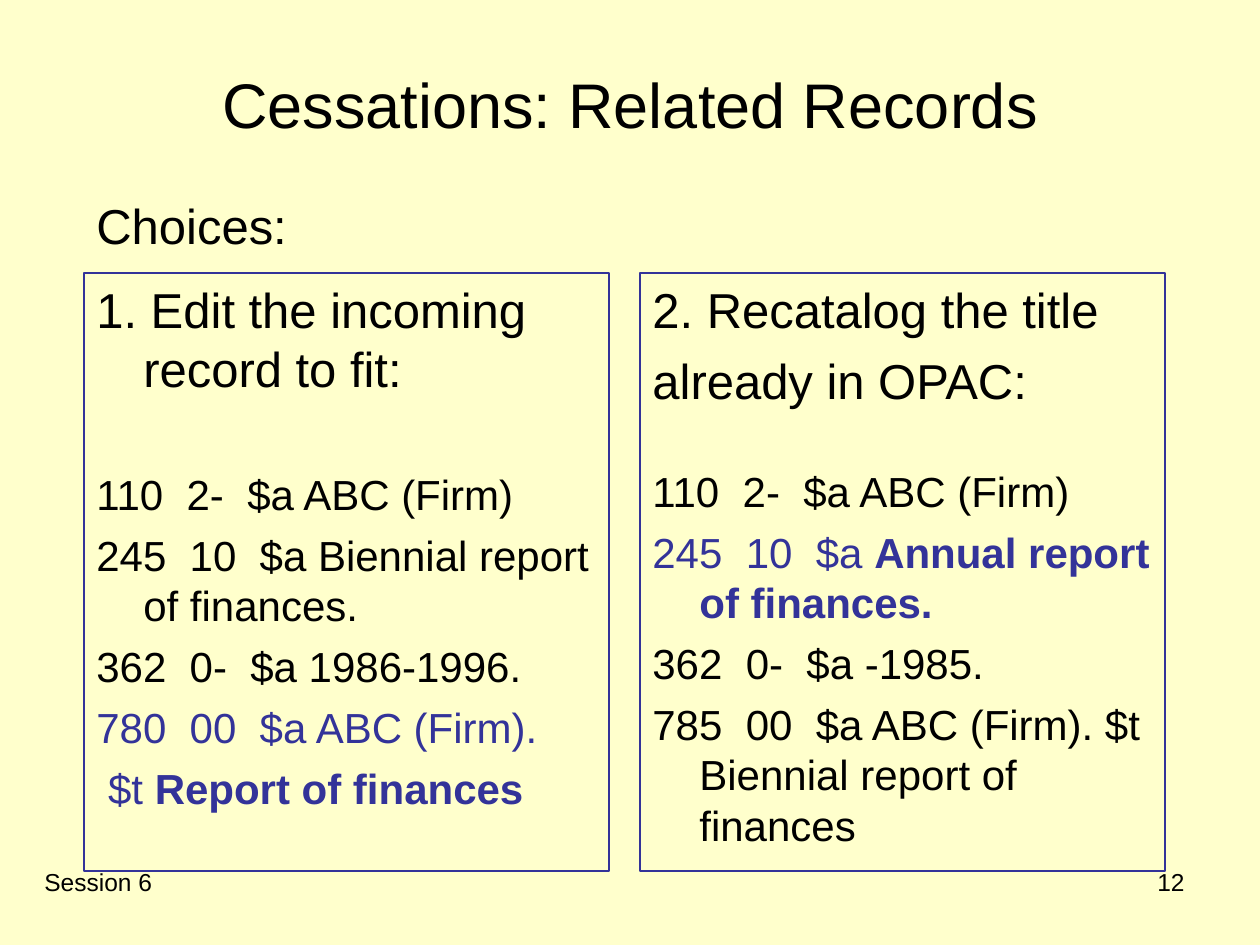
from dataclasses import dataclass

from pptx import Presentation
from pptx.dml.color import RGBColor
from pptx.enum.text import MSO_ANCHOR, PP_ALIGN
from pptx.util import Emu, Pt

EMU_PER_PX = 914400 / 126
CREAM = RGBColor(0xFF, 0xFF, 0xCC)
BLACK = RGBColor(0x00, 0x00, 0x00)
BLUE = RGBColor(0x33, 0x33, 0x99)
LEFT, CENTER, RIGHT = PP_ALIGN.LEFT, PP_ALIGN.CENTER, PP_ALIGN.RIGHT
TOP, MIDDLE = MSO_ANCHOR.TOP, MSO_ANCHOR.MIDDLE
FONT = "Arial"
HEADING_SIZE, FIELD_SIZE = 28, 24
HANGING_INDENT = 47
PANEL_TOP, PANEL_WIDTH, PANEL_HEIGHT = 273, 525, 598


@dataclass(frozen=True)
class Label:
    text: str
    left: int
    top: int
    width: int
    height: int
    size: int
    align: PP_ALIGN = LEFT
    anchor: MSO_ANCHOR = TOP


@dataclass(frozen=True)
class Line:
    text: str
    bold_text: str = ""
    size: int = FIELD_SIZE
    color: RGBColor = BLACK
    space_before: int = 6


@dataclass(frozen=True)
class Panel:
    left: int
    lines: tuple[Line, ...]


LABELS = (
    Label("Cessations: Related Records", 63, 38, 1134, 130, 36, CENTER, MIDDLE),
    Label("Choices:", 84, 189, 230, 72, HEADING_SIZE),
    Label("Session 6", 32, 861, 399, 65, 14),
    Label("12", 903, 861, 294, 65, 14, RIGHT),
)

PANELS = (
    Panel(84, (
        Line("1. Edit the incoming record to fit:", size=HEADING_SIZE, space_before=0),
        Line("110  2-  $a ABC (Firm)", space_before=41),
        Line("245  10  $a Biennial report of finances."),
        Line("362  0-  $a 1986-1996."),
        Line("780  00  $a ABC (Firm).", color=BLUE),
        Line(" $t ", "Report of finances", color=BLUE),
    )),
    Panel(640, (
        Line("2. Recatalog the title", size=HEADING_SIZE, space_before=0),
        Line("already in OPAC:", size=HEADING_SIZE, space_before=7),
        Line("110  2-  $a ABC (Firm)", space_before=32),
        Line("245  10  $a ", "Annual report of finances.", color=BLUE),
        Line("362  0-  $a -1985."),
        Line("785  00  $a ABC (Firm). $t Biennial report of finances"),
    )),
)


def px(length: int) -> Emu:
    return Emu(round(length * EMU_PER_PX))


def add_box(slide, left: int, top: int, width: int, height: int):
    box = slide.shapes.add_textbox(px(left), px(top), px(width), px(height))
    box.text_frame.word_wrap = True
    return box


def format_run(run, size: int, color: RGBColor, bold: bool = False) -> None:
    run.font.name = FONT
    run.font.size = Pt(size)
    run.font.color.rgb = color
    run.font.bold = bold


def draw_label(slide, label: Label) -> None:
    frame = add_box(slide, label.left, label.top, label.width, label.height).text_frame
    frame.vertical_anchor = label.anchor
    frame.text = label.text
    paragraph = frame.paragraphs[0]
    paragraph.alignment = label.align
    format_run(paragraph.runs[0], label.size, BLACK)


def write_line(paragraph, line: Line) -> None:
    paragraph.text = line.text
    format_run(paragraph.runs[0], line.size, line.color)
    if line.bold_text:
        bold_run = paragraph.add_run()
        bold_run.text = line.bold_text
        format_run(bold_run, line.size, line.color, bold=True)
    paragraph.space_before = Pt(line.space_before)
    properties = paragraph._p.get_or_add_pPr()
    properties.set("marL", str(px(HANGING_INDENT)))
    properties.set("indent", str(-px(HANGING_INDENT)))


def draw_panel(slide, panel: Panel) -> None:
    box = add_box(slide, panel.left, PANEL_TOP, PANEL_WIDTH, PANEL_HEIGHT)
    box.line.color.rgb = BLUE
    box.line.width = Pt(0.75)
    frame = box.text_frame
    for index, line in enumerate(panel.lines):
        write_line(frame.add_paragraph() if index else frame.paragraphs[0], line)


def main() -> None:
    presentation = Presentation()
    presentation.slide_width, presentation.slide_height = px(1260), px(945)
    slide = presentation.slides.add_slide(presentation.slide_layouts[6])
    slide.background.fill.solid()
    slide.background.fill.fore_color.rgb = CREAM
    for panel in PANELS:
        draw_panel(slide, panel)
    for label in LABELS:
        draw_label(slide, label)
    presentation.save("out.pptx")


if __name__ == "__main__":
    main()
